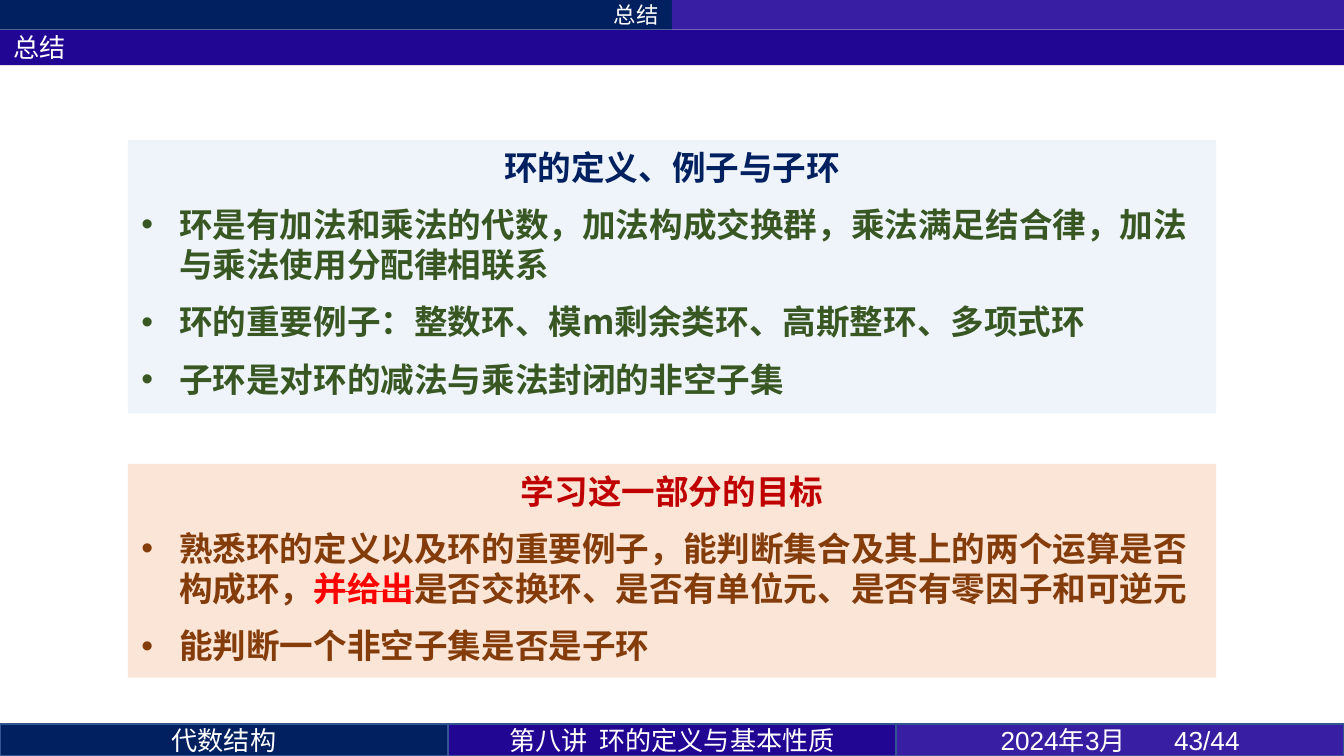
from lxml.etree import SubElement
from pptx import Presentation
from pptx.dml.color import RGBColor
from pptx.enum.shapes import MSO_SHAPE
from pptx.enum.text import MSO_ANCHOR, MSO_AUTO_SIZE, PP_ALIGN
from pptx.oxml.ns import qn
from pptx.util import Pt

COLORS = {
    "navy": "002060", "indigo": "210694", "violet": "371EA2",
    "edge": "325491", "white": "FFFFFF", "sky": "DEEBF7",
    "peach": "FBE5D6", "green": "385723", "crimson": "C00000",
    "brown": "843C0B", "red": "FF0000",
}
CJK = "Noto Sans CJK SC"
WIDTH, HEIGHT = 720, 405
HEADER_HEIGHT = 16
FOOTER_TOP, FOOTER_HEIGHT = 388, 17


def color(name):
    """Return the palette colour with this name."""
    return RGBColor.from_string(COLORS[name])


def place(part, box):
    """Move a part to a box of left, top, width and height in points."""
    part.left, part.top, part.width, part.height = map(Pt, box)


def fill(part, name):
    """Give a part a plain fill."""
    part.fill.solid()
    part.fill.fore_color.rgb = color(name)


def add_words(paragraph, words, size, tint, face=CJK, bold=False, struck=False):
    """Add one formatted run to a paragraph."""
    run = paragraph.add_run()
    run.text = words
    run.font.size = Pt(size)
    run.font.bold = bold
    run.font.color.rgb = color(tint)
    run.font.name = face
    properties = run.font._element
    SubElement(properties, qn("a:ea")).set("typeface", CJK)
    if struck:
        properties.set("strike", "sngStrike")


def add_bar(slide, box, tint, words="", size=14, align=PP_ALIGN.CENTER,
            face=CJK, edge=None, inset=7.2, tab=None):
    """Draw a coloured bar with one line of white text."""
    bar = slide.shapes.add_shape(MSO_SHAPE.RECTANGLE, *map(Pt, box))
    bar.shadow.inherit = False
    fill(bar, tint)
    if edge:
        bar.line.color.rgb = color(edge)
        bar.line.width = Pt(1)
    else:
        bar.line.fill.background()
    if words:
        frame = bar.text_frame
        frame.vertical_anchor = MSO_ANCHOR.MIDDLE
        frame.margin_left = Pt(inset)
        line = frame.paragraphs[0]
        line.alignment = align
        if tab:
            stops = SubElement(line._p.get_or_add_pPr(), qn("a:tabLst"))
            stop = SubElement(stops, qn("a:tab"))
            stop.set("pos", str(Pt(tab)))
            stop.set("algn", "l")
        add_words(line, words, size, "white", face)


def add_header(slide, box):
    """Place the section strip and the title band below it."""
    left, top, width, height = box
    half = width / 2
    add_bar(slide, (left, top, half, HEADER_HEIGHT), "navy", "总结", 12,
            PP_ALIGN.RIGHT)
    add_bar(slide, (left + half, top, half, HEADER_HEIGHT), "violet")
    title = slide.shapes.title
    place(title, (left, top + HEADER_HEIGHT, width, height - HEADER_HEIGHT))
    fill(title, "indigo")
    frame = title.text_frame
    frame.auto_size = MSO_AUTO_SIZE.NONE
    frame.vertical_anchor = MSO_ANCHOR.MIDDLE
    frame.paragraphs[0].alignment = PP_ALIGN.LEFT
    add_words(frame.paragraphs[0], "总结", 14, "white", "Calibri")


def fill_panel(panel, box, shade, heading, heading_tint, items, item_tint, opacity=None):
    """Format a body placeholder as a panel with a heading and bullets."""
    place(panel, box)
    fill(panel, shade)
    if opacity:
        swatch = panel.fill._xPr.find(qn("a:solidFill"))[0]
        SubElement(swatch, qn("a:alpha")).set("val", str(opacity * 1000))
    frame = panel.text_frame
    frame.auto_size = MSO_AUTO_SIZE.NONE
    frame.word_wrap = True
    top_line = frame.paragraphs[0]
    layout = top_line._p.get_or_add_pPr()
    layout.set("marL", "0")
    layout.set("indent", "0")
    SubElement(layout, qn("a:buNone"))
    top_line.alignment = PP_ALIGN.CENTER
    top_line.space_before = Pt(0)
    top_line.space_after = Pt(4.5)
    add_words(top_line, heading, 18, heading_tint, "Calibri", bold=True)
    for item in items:
        bullet = frame.add_paragraph()
        layout = bullet._p.get_or_add_pPr()
        layout.set("marL", str(Pt(20.25)))
        layout.set("indent", str(-Pt(20.25)))
        SubElement(layout, qn("a:buFont")).set("typeface", "Arial")
        SubElement(layout, qn("a:buChar")).set("char", "•")
        bullet.space_before = bullet.space_after = Pt(4.5)
        for words, struck in item:
            add_words(bullet, words, 18, "red" if struck else item_tint,
                      bold=True, struck=struck)


def add_footer(slide, box):
    """Place three equal cells for course, lecture and date."""
    left, top, width, height = box
    cells = [
        ("navy", "代数结构", {}),
        ("indigo", "第八讲\t环的定义与基本性质",
         {"align": PP_ALIGN.LEFT, "inset": 33, "tab": 48}),
        ("violet", "2024年3月\t43/44",
         {"align": PP_ALIGN.LEFT, "inset": 56, "tab": 93, "face": "Arial"}),
    ]
    cell_width = width / len(cells)
    for column, (tint, words, style) in enumerate(cells):
        add_bar(slide, (left + column * cell_width, top, cell_width, height),
                tint, words, edge="edge", **style)


def main():
    """Build and save the summary slide."""
    deck = Presentation()
    deck.slide_width, deck.slide_height = Pt(WIDTH), Pt(HEIGHT)
    slide = deck.slides.add_slide(deck.slide_layouts[3])
    summary, goals = slide.placeholders[1], slide.placeholders[2]
    add_header(slide, (0, 0, WIDTH, 35))
    fill_panel(
        summary, (68.5, 75, 583, 146.5), "sky", "环的定义、例子与子环", "navy",
        [[("环是有加法和乘法的代数，加法构成交换群，乘法满足结合律，加法与乘法使用分配律相联系", False)],
         [("环的重要例子：整数环、模m剩余类环、高斯整环、多项式环", False)],
         [("子环是对环的减法与乘法封闭的非空子集", False)]],
        "green", opacity=50)
    fill_panel(
        goals, (68.5, 248.5, 583, 114.5), "peach", "学习这一部分的目标", "crimson",
        [[("熟悉环的定义以及环的重要例子，能判断集合及其上的两个运算是否构成环，", False),
          ("并给出", True),
          ("是否交换环、是否有单位元、是否有零因子和可逆元", False)],
         [("能判断一个非空子集是否是子环", False)]],
        "brown")
    add_footer(slide, (0, FOOTER_TOP, WIDTH, FOOTER_HEIGHT))
    deck.save("out.pptx")


if __name__ == "__main__":
    main()
